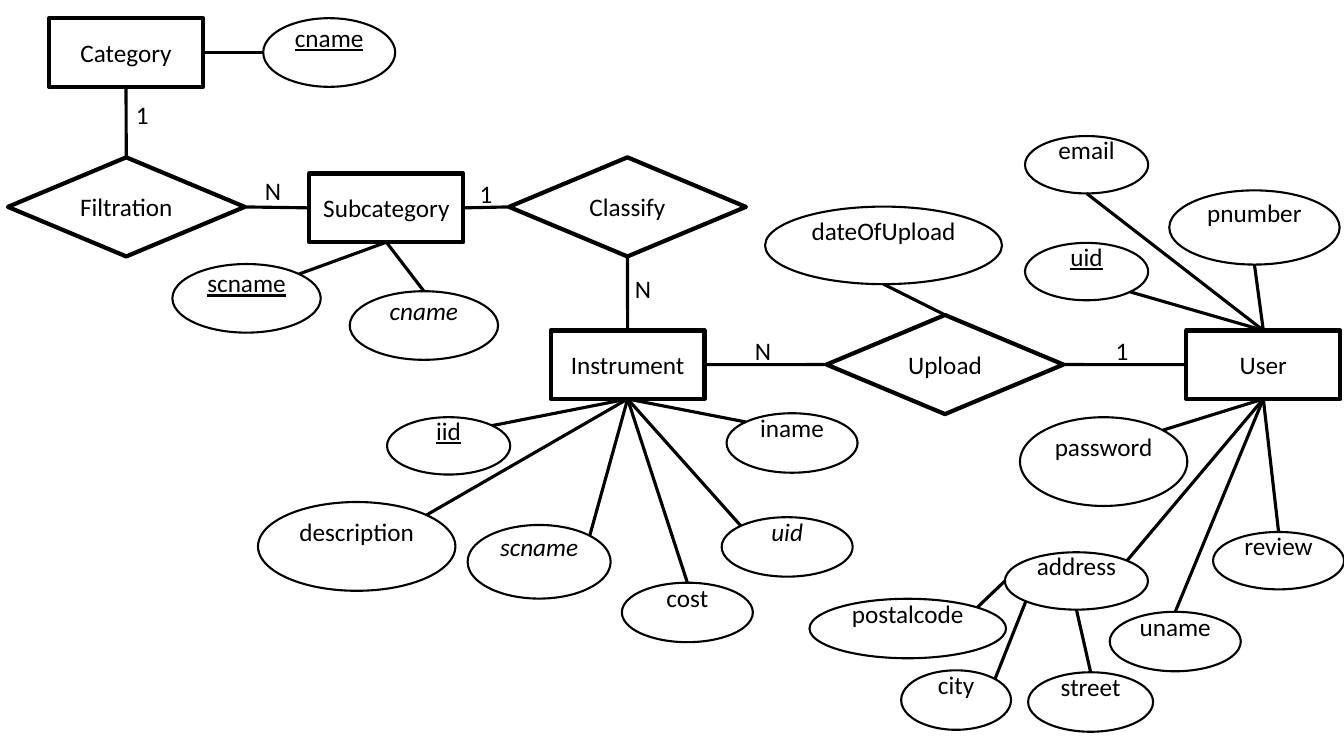
import math

import pptx
import pptx.dml.color
import pptx.enum.shapes
import pptx.enum.text
import pptx.oxml.ns
import pptx.util
from lxml import etree

Pt = pptx.util.Pt
SHAPES = pptx.enum.shapes.MSO_SHAPE
ANCHOR = pptx.enum.text.MSO_ANCHOR
ALIGN = pptx.enum.text.PP_ALIGN

COLORS = {"ink": "000000", "paper": "FFFFFF"}
FONT = "Calibri"
FONT_SIZE = 18
ATTRIBUTE_TEXT_LIFT = 22  # bottom inset that raises the attribute names

ENTITY_SIZE = (110, 49)
ENTITIES = {
    "Category": (35, 13),
    "Subcategory": (221, 124),
    "Instrument": (393.3, 236),
    "User": (847.4, 236),
}

RELATIONSHIP_SIZE = (169.2, 70.8)
RELATIONSHIPS = {
    "Filtration": (5.6, 112.4),
    "Classify": (363.6, 112.4),
    "Upload": (590.4, 225),
}

# from, side, to, side, cardinality, label position
LINKS = [
    ("Filtration", "top", "Category", "bottom", "1", (90, 67.7)),
    ("Subcategory", "left", "Filtration", "right", "N", (182.2, 121.7)),
    ("Classify", "left", "Subcategory", "right", "1", (335.5, 123.8)),
    ("Classify", "bottom", "Instrument", "top", "N", (446.4, 191.5)),
    ("Upload", "left", "Instrument", "right", "N", (532.1, 236.2)),
    ("User", "left", "Upload", "right", "1", (789.8, 236.2)),
]

KEY = {"underline": True}
FOREIGN = {"italic": True}

# name, (left, top, width, height), side, owner, owner side, text format
ATTRIBUTES = [
    ("cname", (188, 13, 94.3, 49), "left", "Category", "right", KEY),
    ("scname", (123.1, 188.6, 106, 49), "top right", "Subcategory", "bottom", KEY),
    ("cname", (249.8, 208, 106, 49), "top", "Subcategory", "bottom", FOREIGN),
    ("iid", (276.5, 298, 88, 41), "top right", "Instrument", "bottom", KEY),
    ("description", (184.3, 358.6, 141, 63.4), "top right", "Instrument", "bottom", {}),
    ("scname", (334, 375, 102.2, 52.6), "top right", "Instrument", "bottom", FOREIGN),
    ("cost", (444.2, 416.2, 93.6, 42.5), "top", "Instrument", "bottom", {}),
    ("uid", (515.5, 369.4, 93.6, 42.5), "top left", "Instrument", "bottom", FOREIGN),
    ("iname", (519, 295.2, 93.6, 42.5), "top left", "Instrument", "bottom", {}),
    ("dateOfUpload", (546.5, 147.6, 169.2, 55.4), "bottom", "Upload", "top", {}),
    ("email", (732.2, 97.2, 88, 41), "bottom", "User", "top", {}),
    ("uid", (732.2, 173.5, 88, 41), "bottom right", "User", "top", KEY),
    ("pnumber", (835.2, 136, 121.7, 53), "bottom", "User", "top", {}),
    ("password", (728.6, 298, 119.5, 63.4), "top right", "User", "bottom", {}),
    ("address", (717.8, 394.5, 102.2, 41), "top right", "User", "bottom", {}),
    ("uname", (792.7, 437, 93.6, 42.5), "top", "User", "bottom", {}),
    ("review", (866.5, 380, 93.6, 41), "top", "User", "bottom", {}),
    ("postalcode", (578.2, 427.7, 140.4, 42.5), "top right", "address", "left", {}),
    ("city", (643.7, 478.8, 78.5, 42.5), "top right", "address", "bottom left", {}),
    ("street", (734.4, 480.2, 89.3, 42.5), "top", "address", "bottom", {}),
]


def color(name):
    return pptx.dml.color.RGBColor.from_string(COLORS[name])


def write(shape, text, align=ALIGN.CENTER, underline=None, italic=None):
    paragraph = shape.text_frame.paragraphs[0]
    paragraph.alignment = align
    run = paragraph.add_run()
    run.text = text
    run.font.name = FONT
    run.font.size = Pt(FONT_SIZE)
    run.font.color.rgb = color("ink")
    run.font.underline = underline
    run.font.italic = italic


def add_node(slide, kind, text, box, line_width, fill=None, lift=0, **text_format):
    shape = slide.shapes.add_shape(kind, *map(Pt, box))
    shape.shadow.inherit = False
    if fill:
        shape.fill.solid()
        shape.fill.fore_color.rgb = color(fill)
    else:
        shape.fill.background()
    shape.line.color.rgb = color("ink")
    shape.line.width = Pt(line_width)
    frame = shape.text_frame
    frame.word_wrap = True
    frame.vertical_anchor = ANCHOR.MIDDLE
    frame.margin_left = frame.margin_right = frame.margin_top = 0
    frame.margin_bottom = Pt(lift)
    write(shape, text, **text_format)
    return shape


def side_point(shape, side):
    """Point on the outline; two-word sides lie on an ellipse's diagonals."""
    words = side.split()
    reach = 0.5 / math.sqrt(len(words))
    across = ("right" in words) - ("left" in words)
    down = ("bottom" in words) - ("top" in words)
    return (
        round(shape.left + shape.width * (0.5 + across * reach)),
        round(shape.top + shape.height * (0.5 + down * reach)),
    )


def connect(slide, start, start_side, end, end_side):
    connector = slide.shapes.add_connector(
        pptx.enum.shapes.MSO_CONNECTOR.STRAIGHT,
        *side_point(start, start_side),
        *side_point(end, end_side),
    )
    connector.line.color.rgb = color("ink")
    connector.line.width = Pt(2.25)
    properties = connector.element.find(pptx.oxml.ns.qn("p:spPr"))
    etree.SubElement(properties, pptx.oxml.ns.qn("a:effectLst"))


def add_cardinality(slide, text, position):
    label = slide.shapes.add_textbox(*map(Pt, position), Pt(25), Pt(29))
    label.text_frame.word_wrap = False
    write(label, text, align=ALIGN.LEFT)


def main():
    presentation = pptx.Presentation()
    presentation.slide_width = Pt(960)
    presentation.slide_height = Pt(540)
    slide = presentation.slides.add_slide(presentation.slide_layouts[6])

    nodes = {}
    for kind, size, places in (
        (SHAPES.RECTANGLE, ENTITY_SIZE, ENTITIES),
        (SHAPES.FLOWCHART_DECISION, RELATIONSHIP_SIZE, RELATIONSHIPS),
    ):
        for name, position in places.items():
            nodes[name] = add_node(slide, kind, name, position + size, 3)

    for name, box, side, owner, owner_side, text_format in ATTRIBUTES:
        attribute = add_node(slide, SHAPES.OVAL, name, box, 1.5, fill="paper",
                             lift=ATTRIBUTE_TEXT_LIFT, **text_format)
        connect(slide, attribute, side, nodes[owner], owner_side)
        nodes[name] = attribute

    for start, start_side, end, end_side, cardinality, position in LINKS:
        connect(slide, nodes[start], start_side, nodes[end], end_side)
        add_cardinality(slide, cardinality, position)

    presentation.save("out.pptx")


if __name__ == "__main__":
    main()
